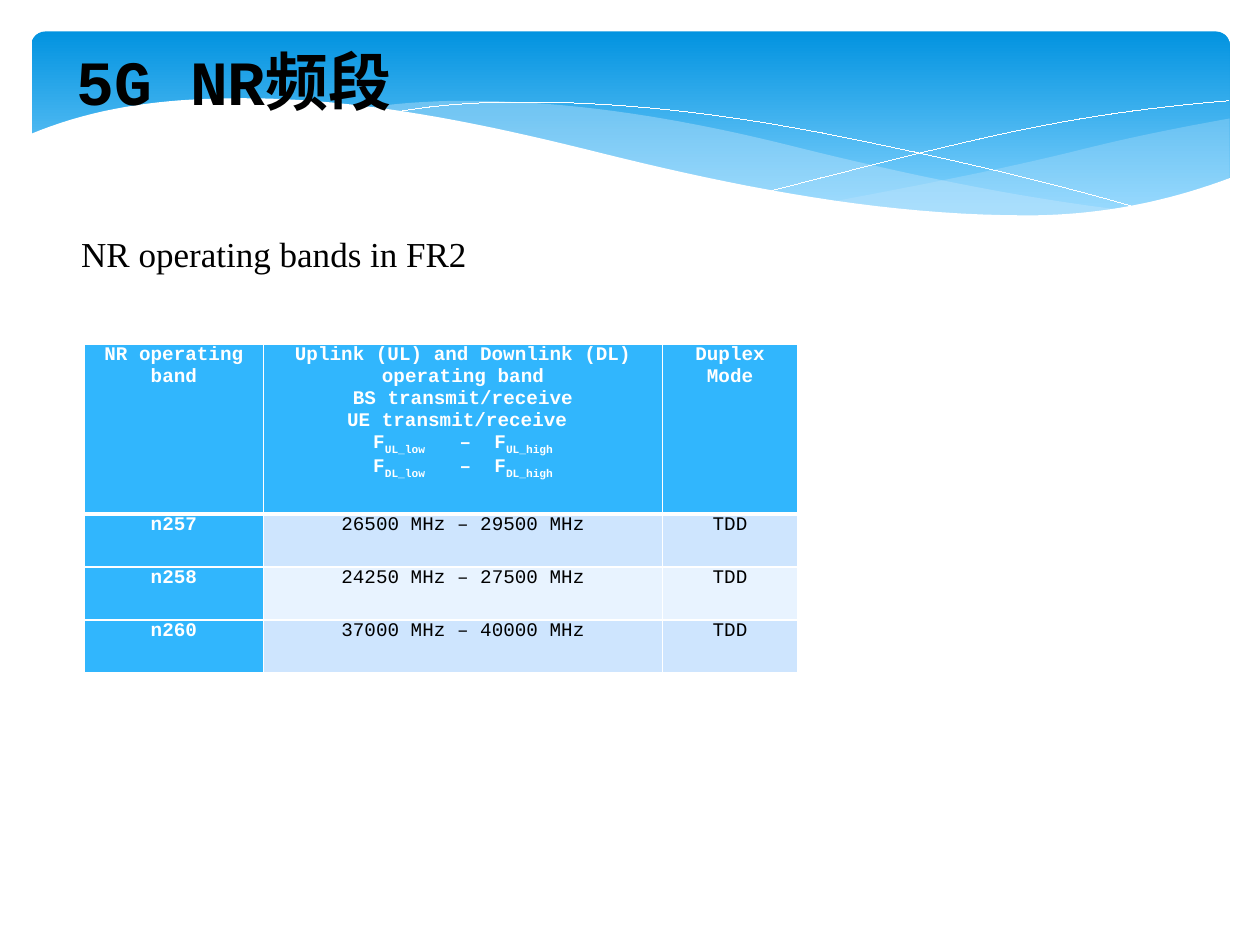
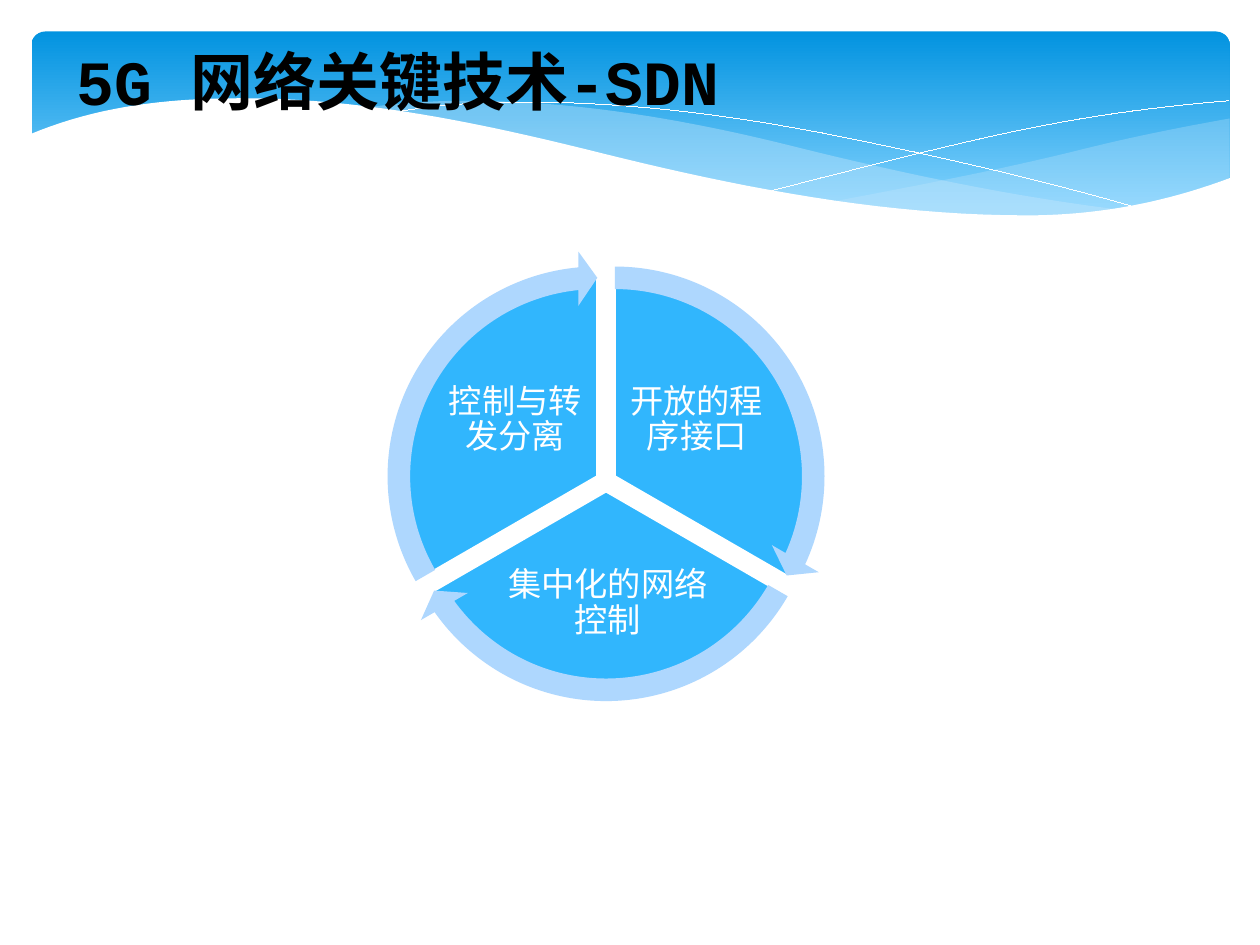
import math
from dataclasses import dataclass

from lxml import etree
from pptx import Presentation
from pptx import util as u
from pptx.dml.color import RGBColor
from pptx.enum import shapes, text
from pptx.oxml import ns


@dataclass(frozen=True)
class Theme:
    black: str = "000000"
    white: str = "FFFFFF"
    accent: str = "31B6FD"
    band_top: str = "0293E0"
    band_bottom: str = "83D3FE"
    veil: str = "C6E7FC"
    arrow: str = "AED7FE"
    row_dark: str = "CEE5FE"
    row_light: str = "E8F3FF"
    mono: str = "Courier New"
    serif: str = "Times New Roman"
    sans: str = "Calibri"
    title_size: int = 36
    subtitle_size: int = 20
    pie_size: int = 19
    table_size: int = 11


T = Theme()


def add_run(p, words, font, size, color, bold=False, **attrs):
    """Add one run; attrs are extra rPr attributes such as baseline or spc."""
    r = p.add_run()
    r.text = words
    r.font.name, r.font.size, r.font.bold = font, u.Pt(size), bold
    r.font.color.rgb = RGBColor.from_string(color)
    for key, value in attrs.items():
        r.font._element.set(key, str(value))


def curve(*knots, steps=20):
    """Points of a smooth curve through knots (x, y, slope), by cubic Hermite pieces."""
    points = [knots[0][:2]]
    for (x0, y0, m0), (x1, y1, m1) in zip(knots, knots[1:]):
        width = x1 - x0
        for step in range(1, steps + 1):
            t = step / steps
            blend = t * t * (3 - 2 * t)
            bend = t * (1 - t) * width * (m0 * (1 - t) - m1 * t)
            points.append((x0 + t * width, y0 + blend * (y1 - y0) + bend))
    return points


# Each veil lies between an upper and a lower curve; the white wave hides the band's foot
right_veil = (curve((6.61, 1.6, -0.19), (8.61, 1.18, -0.25), (9.76, 0.94, -0.18))
              + curve((6.61, 1.6, 0.13), (8.14, 1.72, 0), (9.76, 1.41, -0.42))[::-1])
left_veil = (curve((2.86, 0.86, -0.14), (3.7, 0.8, 0), (6.29, 1.16, 0.25), (8.93, 1.67, 0.12))
             + curve((2.86, 0.86, 0.1), (4.49, 1.16, 0.24), (8.2, 1.73, 0),
                     (8.93, 1.67, -0.12))[::-1])
falling_line = curve((3.09, 0.9, -0.2), (4.16, 0.81, 0), (6.65, 1.08, 0.2), (9.07, 1.66, 0.29))
rising_line = curve((6.13, 1.51, -0.25), (8.06, 1.04, -0.21), (9.75, 0.8, -0.08))
white_wave = curve((0.23, 1.07, -0.42), (1.93, 0.78, 0), (4.75, 1.21, 0.25),
                   (8.15, 1.71, 0), (9.77, 1.41, -0.38)) + [(9.77, 2.24), (0.23, 2.24)]
# Points, fill colour (None for a hairline), opacity in percent
band_parts = [
    (right_veil, T.veil, 29), (left_veil, T.veil, 40),
    (falling_line, None, 100), (rising_line, None, 100), (white_wave, T.white, 100)]

prs = Presentation()
prs.slide_width, prs.slide_height = u.Inches(10), u.Inches(7.5)

# Title band and title of both slides
for title in ("5G NR频段", "5G 网络关键技术-SDN"):
    s = prs.slides.add_slide(prs.slide_layouts[6])
    band = s.shapes.add_shape(shapes.MSO_SHAPE.ROUNDED_RECTANGLE,
                              *map(u.Inches, (0.25, 0.25, 9.51, 1.56)))
    band.adjustments[0] = 0.07
    band.shadow.inherit = False
    band.line.fill.background()
    band.fill.gradient()
    band.fill.gradient_angle = 270
    for stop, color, position in zip(band.fill.gradient_stops,
                                     (T.band_top, T.band_bottom), (0, 0.9)):
        stop.color.rgb = RGBColor.from_string(color)
        stop.position = position

    for points, color, opacity in band_parts:
        start, *others = [(u.Inches(x), u.Inches(y)) for x, y in points]
        builder = s.shapes.build_freeform(*start)
        builder.add_line_segments(others, close=color is not None)
        sp = builder.convert_to_shape()
        sp.shadow.inherit = False
        if color is None:
            sp.fill.background()
            sp.line.color.rgb = RGBColor.from_string(T.white)
            sp.line.width = u.Pt(0.01)
            continue
        sp.line.fill.background()
        sp.fill.solid()
        sp.fill.fore_color.rgb = RGBColor.from_string(color)
        if opacity < 100:
            srgb = sp._element.spPr.find(ns.qn("a:solidFill")).find(ns.qn("a:srgbClr"))
            etree.SubElement(srgb, ns.qn("a:alpha")).set("val", str(opacity * 1000))

    tf = s.shapes.add_textbox(*map(u.Inches, (0.51, 0.29, 8.59, 0.71))).text_frame
    tf.word_wrap = True
    tf.auto_size = text.MSO_AUTO_SIZE.SHAPE_TO_FIT_TEXT
    add_run(tf.paragraphs[0], title, T.mono, T.title_size, T.black, True)

bands_slide, sdn_slide = prs.slides

# Slide 1: table of operating bands
header = [
    ["NR operating band"],
    ["Uplink (UL) and Downlink (DL) operating band\nBS transmit/receive\nUE transmit/receive ",
     "UL", "DL"],
    ["Duplex Mode"]]
frequency_bands = [
    ("n257", "26500 MHz – 29500 MHz", "TDD"),
    ("n258", "24250 MHz – 27500 MHz", "TDD"),
    ("n260", "37000 MHz – 40000 MHz", "TDD")]
rows = [header] + [[[value] for value in band] for band in frequency_bands]
col_widths = (1.42, 3.17, 1.07)
row_heights = [1.35] + [0.42] * len(frequency_bands)

table = bands_slide.shapes.add_table(
    len(rows), len(col_widths), u.Inches(0.67), u.Inches(2.73),
    u.Inches(sum(col_widths)), u.Inches(sum(row_heights))).table
table.first_row = table.horz_banding = False
for col, width in zip(table.columns, col_widths):
    col.width = u.Inches(width)
for row, height in zip(table.rows, row_heights):
    row.height = u.Inches(height)

for i, row in enumerate(rows):
    for j, paragraphs in enumerate(row):
        cell = table.cell(i, j)
        cell.margin_left = cell.margin_right = u.Inches(0.07)
        cell.margin_top = cell.margin_bottom = 0
        heading = i == 0 or j == 0
        tcPr = cell._tc.get_or_add_tcPr()
        for side in "LRTB":
            below_header = (i, side) in ((0, "B"), (1, "T"))
            ln = etree.SubElement(tcPr, ns.qn("a:ln" + side),
                                  w=str(u.Pt(3 if below_header else 1)))
            line_fill = etree.SubElement(ln, ns.qn("a:solidFill"))
            etree.SubElement(line_fill, ns.qn("a:srgbClr"), val=T.white)
        cell.fill.solid()
        cell.fill.fore_color.rgb = RGBColor.from_string(
            T.accent if heading else T.row_dark if i % 2 else T.row_light)

        style = (T.mono, T.table_size, T.white if heading else T.black, heading)
        tf = cell.text_frame
        for k, words in enumerate(paragraphs):
            p = tf.paragraphs[0] if k == 0 else tf.add_paragraph()
            p.alignment = text.PP_ALIGN.CENTER
            if k == 0:
                for n, line in enumerate(words.split("\n")):
                    if n:
                        p.add_line_break()
                    add_run(p, line, *style)
                continue
            # Frequency limits: F with a subscript, spaces widened by tracking
            for piece, attrs in (("F", {}), (words + "_low", {"baseline": -25000}),
                                 (" ", {"spc": 1320}), ("–", {}), (" ", {"spc": 660}),
                                 ("F", {}), (words + "_high", {"baseline": -25000})):
                add_run(p, piece, *style, **attrs)

tf = bands_slide.shapes.add_textbox(*map(u.Inches, (0.53, 1.8, 3.29, 0.44))).text_frame
tf.word_wrap = False
tf.auto_size = text.MSO_AUTO_SIZE.SHAPE_TO_FIT_TEXT
p = tf.paragraphs[0]
p.alignment = text.PP_ALIGN.CENTER
p.space_before, p.space_after = u.Pt(3), u.Pt(9)
add_run(p, "NR operating bands in FR2", T.serif, T.subtitle_size, T.black)

# Slide 2: a pie of three equal sectors, pushed apart, then an arrow around each
labels = [
    ("开放的程序接口", (4.96, 2.86, 1.14, 0.95)),
    ("集中化的网络控制", (3.97, 4.37, 1.71, 0.84)),
    ("控制与转发分离", (3.52, 2.86, 1.14, 0.95))]
center_x, center_y, push = 4.81, 3.82, 0.08
pie_size, arrow_size = 3.19, 3.58
sweep = 360 / len(labels)
ADJ_PER_DEGREE = 0.6  # angles are stored in 60000ths of a degree, adjustments in 100000ths
arrow_thickness, head_length, head_width = 0.05, 3.28, 0.06
PIE, ARROW = shapes.MSO_SHAPE.PIE, shapes.MSO_SHAPE.CIRCULAR_ARROW

for kind, size, color in ((PIE, pie_size, T.accent), (ARROW, arrow_size, T.arrow)):
    for k, (label, label_box) in enumerate(labels):
        start_angle = k * sweep - 90
        middle = math.radians(start_angle + sweep / 2)
        left = center_x + push * math.cos(middle) - size / 2
        top = center_y + push * math.sin(middle) - size / 2
        sp = sdn_slide.shapes.add_shape(kind, *map(u.Inches, (left, top, size, size)))
        sp.shadow.inherit = False
        sp.fill.solid()
        sp.fill.fore_color.rgb = RGBColor.from_string(color)
        start = start_angle % 360 * ADJ_PER_DEGREE
        end = (start_angle + sweep) % 360 * ADJ_PER_DEGREE
        if kind == ARROW:
            sp.line.fill.background()
            values = (arrow_thickness, head_length, end - head_length, start, head_width)
        else:
            sp.line.color.rgb = RGBColor.from_string(T.white)
            sp.line.width = u.Pt(1.25)
            values = (start, end)
        for n, value in enumerate(values):
            sp.adjustments[n] = value
        if kind == PIE:
            tf = sdn_slide.shapes.add_textbox(*map(u.Inches, label_box)).text_frame
            tf.word_wrap = True
            tf.vertical_anchor = text.MSO_ANCHOR.MIDDLE
            tf.margin_left = tf.margin_right = tf.margin_top = tf.margin_bottom = u.Inches(0.03)
            p = tf.paragraphs[0]
            p.alignment, p.line_spacing = text.PP_ALIGN.CENTER, 0.9
            add_run(p, label, T.sans, T.pie_size, T.white)

prs.save("out.pptx")
